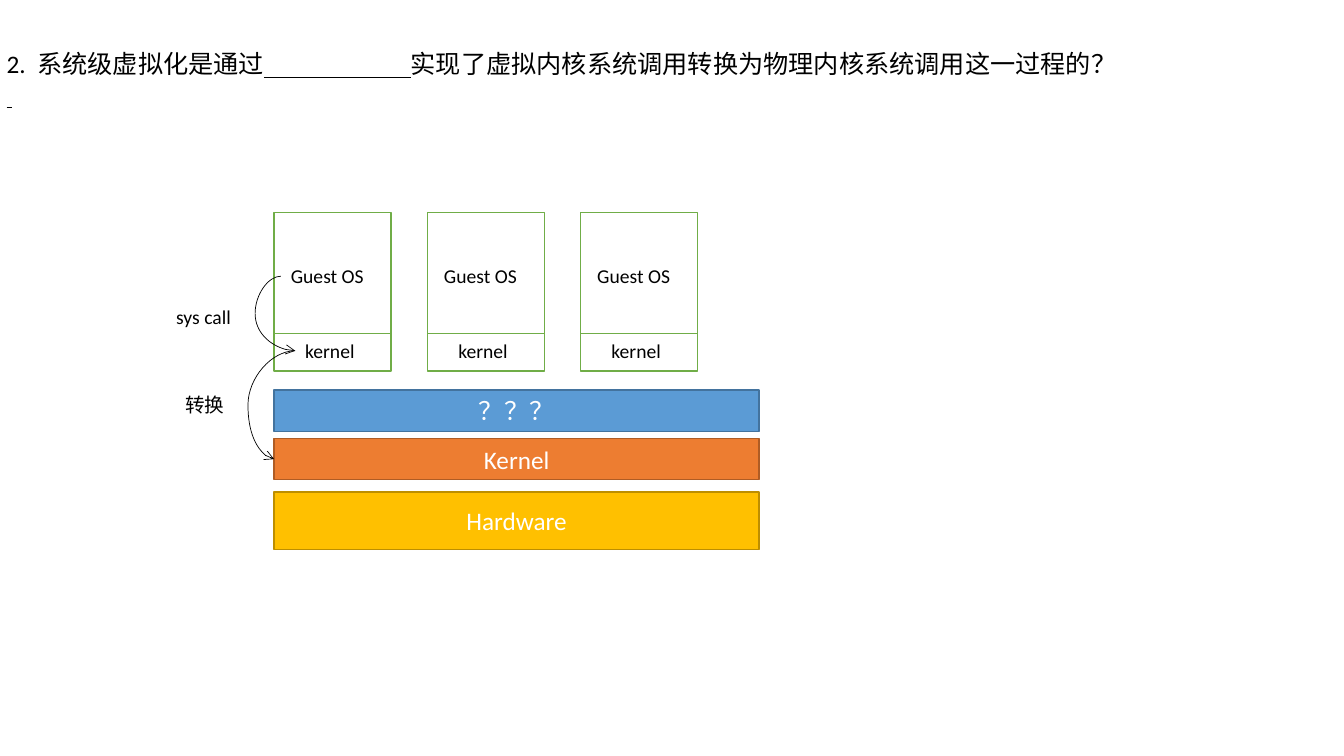
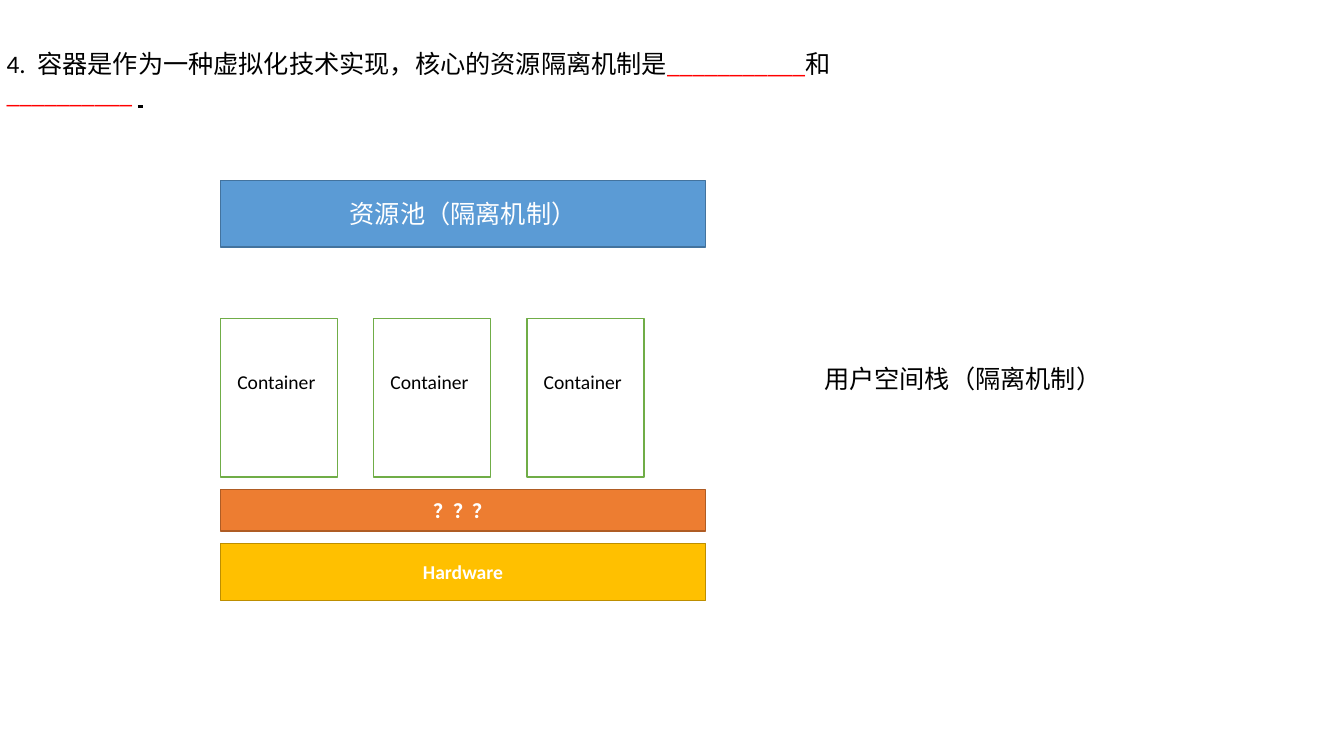
from lxml.etree import SubElement
from pptx import Presentation
from pptx.dml.color import RGBColor
from pptx.enum.shapes import MSO_CONNECTOR, MSO_SHAPE
from pptx.enum.text import MSO_ANCHOR, MSO_AUTO_SIZE, PP_ALIGN
from pptx.oxml.ns import qn
from pptx.util import Cm, Pt

COLOURS = {
    "black": "000000",
    "white": "FFFFFF",
    "red": "FF0000",
    "green": "70AD47",
    "blue": "5B9BD5",
    "blue_edge": "43739E",
    "orange": "ED7D31",
    "orange_edge": "AF5C24",
    "gold": "FFC000",
    "gold_edge": "BD8E00",
}


class Painter:
    font = "Calibri"
    large = 18
    small = 14
    band_width = 12.22
    guest_width = 2.95
    guest_height = 3.99
    guest_pitch = 3.86
    kernel_offset = 3.05

    def __init__(self, deck):
        self.deck = deck
        self.page = None

    def new_page(self):
        self.page = self.deck.slides.add_slide(self.deck.slide_layouts[6])

    def colour(self, name):
        return RGBColor.from_string(COLOURS[name])

    def span(self, para, text, size, colour="black", bold=None, underline=None):
        span = para.add_run()
        span.text = text
        span.font.name = self.font
        span.font.size = Pt(size)
        span.font.bold = bold
        span.font.underline = underline
        span.font.color.rgb = self.colour(colour)

    def label(self, left, top, width, text, size=small, parent=None, wrap=False):
        height = 1.02 if size == self.large else 0.86
        shapes = (parent or self.page).shapes
        box = shapes.add_textbox(Cm(left), Cm(top), Cm(width), Cm(height))
        frame = box.text_frame
        frame.word_wrap = wrap
        frame.auto_size = MSO_AUTO_SIZE.SHAPE_TO_FIT_TEXT
        para = frame.paragraphs[0]
        if text:
            self.span(para, text, size)
        return para

    def title(self, width, spans):
        para = self.label(-0.08, 1.09, width, "", self.large)
        for text, colour, underline in spans:
            self.span(para, text, self.large, colour, underline=underline)

    def rectangle(self, shapes, left, top, width, height, fill, edge):
        box = shapes.add_shape(
            MSO_SHAPE.RECTANGLE, Cm(left), Cm(top), Cm(width), Cm(height))
        box.shadow.inherit = False
        box.fill.solid()
        box.fill.fore_color.rgb = self.colour(fill)
        box.line.color.rgb = self.colour(edge)
        box.line.width = Pt(1)
        return box

    def band(self, left, top, height, fill, text, size=large, bold=None):
        box = self.rectangle(self.page.shapes, left, top, self.band_width,
                             height, fill, fill + "_edge")
        frame = box.text_frame
        frame.vertical_anchor = MSO_ANCHOR.MIDDLE
        para = frame.paragraphs[0]
        para.alignment = PP_ALIGN.CENTER
        self.span(para, text, size, "white", bold)

    def connector(self, shapes, kind, start, end, colour):
        line = shapes.add_connector(
            kind, Cm(start[0]), Cm(start[1]), Cm(end[0]), Cm(end[1]))
        line.line.color.rgb = self.colour(colour)
        line.line.width = Pt(0.5)
        SubElement(line.element.spPr, qn("a:effectLst"))
        return line

    def curved_arrow(self, start, end, bulge):
        line = self.connector(
            self.page.shapes, MSO_CONNECTOR.CURVE, start, end, "black")
        ratio = (bulge - start[0]) / (end[0] - start[0])
        properties = line.element.spPr
        geometry = properties.find(qn("a:prstGeom"))
        guides = geometry.find(qn("a:avLst"))
        if guides is None:
            guides = SubElement(geometry, qn("a:avLst"))
        SubElement(guides, qn("a:gd"), name="adj1",
                   fmla=f"val {round(ratio * 100000)}")
        SubElement(properties.find(qn("a:ln")), qn("a:tailEnd"), type="arrow")

    def guests(self, left, top, text, kernel=None):
        for index in range(3):
            x = left + index * self.guest_pitch
            group = self.page.shapes.add_group_shape()
            self.rectangle(group.shapes, x, top, self.guest_width,
                           self.guest_height, "white", "green")
            self.label(x + 0.17, top + 1.17, 2.62, text,
                       parent=group, wrap=True)
            if kernel:
                y = top + self.kernel_offset
                self.connector(group.shapes, MSO_CONNECTOR.STRAIGHT,
                               (x, y), (x + self.guest_width, y), "green")
                self.label(x + 0.53, y, 1.88, kernel, parent=group, wrap=True)


def system_call_page(painter):
    left = 6.91
    painter.new_page()
    painter.title(28.47, [
        ("2.  系统级虚拟化是通过", "black", None),
        (" " * 26, "black", True),
        ("实现了虚拟内核系统调用转换为物理内核系统调用这一过程的？ ", "black", None),
        (" ", "black", True),
    ])
    painter.band(left, 12.4, 1.45, "gold", "Hardware")
    painter.band(left, 9.83, 1.04, "blue", "？？？")
    painter.band(left, 11.05, 1.04, "orange", "Kernel")
    painter.guests(left, 5.36, "Guest OS", "kernel")
    kernel_entry = (7.44, 8.84)
    painter.curved_arrow((7.08, 6.96), kernel_entry, 6.43)
    painter.label(4.19, 7.57, 1.98, "sys call")
    painter.label(4.42, 9.78, 1.5, "转换")
    painter.curved_arrow(kernel_entry, (left, 11.57), 6.25)


def container_page(painter):
    left = 5.56
    painter.new_page()
    painter.title(24.41, [
        ("4.  容器是作为一种虚拟化技术实现，核心的资源隔离机制是", "black", None),
        ("___________", "red", None),
        ("和", "black", None),
        ("__________ ", "red", None),
        (" ", "black", True),
    ])
    painter.band(left, 13.69, 1.45, "gold", "Hardware", painter.small, True)
    painter.band(left, 12.34, 1.04, "orange", "？？？", painter.small, True)
    painter.guests(left, 8.03, "Container")
    painter.band(left, 4.55, 1.68, "blue", "资源池（隔离机制）")
    painter.label(20.52, 9.04, 7.49, "用户空间栈（隔离机制）", painter.large)


def main():
    deck = Presentation()
    deck.slide_width = Cm(33.87)
    deck.slide_height = Cm(19.05)
    painter = Painter(deck)
    system_call_page(painter)
    container_page(painter)
    deck.save("out.pptx")


if __name__ == "__main__":
    main()
